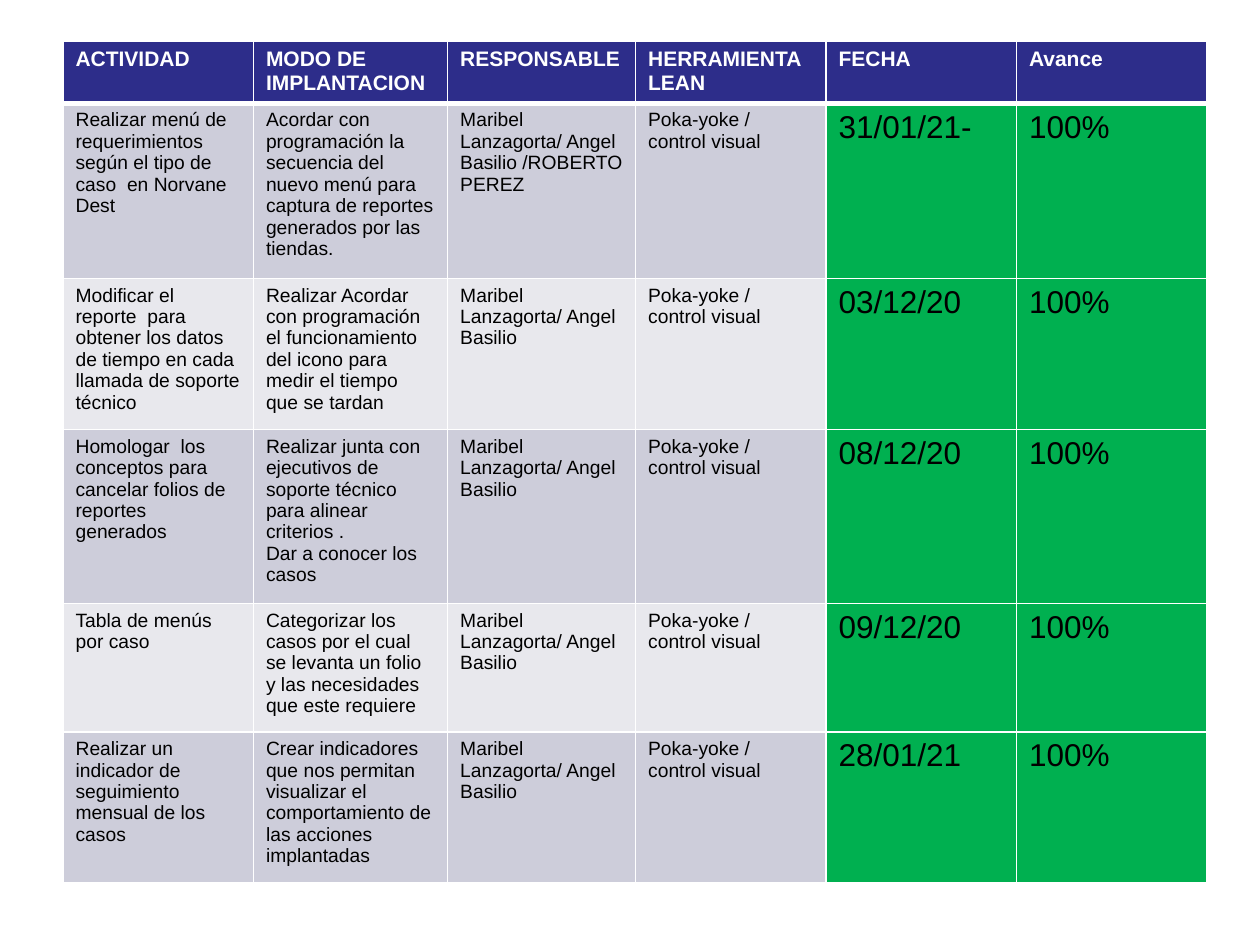
from dataclasses import dataclass

from lxml import etree
from pptx import Presentation
from pptx.dml.color import RGBColor
from pptx.oxml.ns import qn
from pptx.util import Inches, Pt


@dataclass(frozen=True)
class Theme:
    font: str = "Arial"
    header_fill: str = "2D2D8A"
    band_fills: tuple = ("CDCDDA", "E8E8ED")
    done_fill: str = "00B050"
    light: str = "FFFFFF"
    dark: str = "000000"
    header_size: int = 12
    body_size: int = 11
    status_size: int = 18
    rule: int = 1
    header_rule: int = 3


THEME = Theme()
BLANK_LAYOUT = 6
STATUS_COLUMN = 4
COLUMN_WIDTHS = (1.51, 1.54, 1.49, 1.51, 1.51, 1.51)
ROW_HEIGHTS = (0.49, 1.39, 1.2, 1.38, 1.02, 1.2)

HEADINGS = ("ACTIVIDAD", "MODO DE IMPLANTACION", "RESPONSABLE",
            "HERRAMIENTA LEAN", "FECHA", "Avance")
TEAM = "Maribel Lanzagorta/ Angel Basilio"
TOOL = "Poka-yoke / control visual"
COMPLETE = "100%"
ACTIVITIES = (
    ("Realizar menú de requerimientos según el tipo de caso  en Norvane Dest",
     "Acordar con programación la secuencia del nuevo menú para captura de "
     "reportes generados por las tiendas.",
     TEAM + " /ROBERTO PEREZ", "31/01/21-"),
    ("Modificar el reporte  para obtener los datos de tiempo en cada llamada "
     "de soporte técnico",
     "Realizar Acordar con programación el funcionamiento del icono para "
     "medir el tiempo que se tardan",
     TEAM, "03/12/20"),
    ("Homologar  los conceptos para cancelar folios de reportes generados",
     "Realizar junta con ejecutivos de soporte técnico para alinear "
     "criterios .\nDar a conocer los casos",
     TEAM, "08/12/20"),
    ("Tabla de menús por caso",
     "Categorizar los casos por el cual se levanta un folio y las necesidades "
     "que este requiere",
     TEAM, "09/12/20"),
    ("Realizar un indicador de seguimiento mensual de los casos",
     "Crear indicadores que nos permitan visualizar el comportamiento de las "
     "acciones implantadas",
     TEAM, "28/01/21"),
)


def set_borders(cell, top, bottom):
    properties = cell._tc.get_or_add_tcPr()
    widths = {"a:lnL": THEME.rule, "a:lnR": THEME.rule,
              "a:lnT": top, "a:lnB": bottom}
    for side, width in widths.items():
        line = etree.SubElement(properties, qn(side), w=str(Pt(width)))
        solid = etree.SubElement(line, qn("a:solidFill"))
        etree.SubElement(solid, qn("a:srgbClr"), val=THEME.light)


def cell_style(row, column):
    if row == 0:
        return THEME.header_fill, THEME.light, THEME.header_size
    if column >= STATUS_COLUMN:
        return THEME.done_fill, THEME.dark, THEME.status_size
    return THEME.band_fills[(row - 1) % 2], THEME.dark, THEME.body_size


def fill_cell(cell, text, row, column):
    background, ink, size = cell_style(row, column)
    set_borders(cell,
                top=THEME.header_rule if row == 1 else THEME.rule,
                bottom=THEME.header_rule if row == 0 else THEME.rule)
    cell.fill.solid()
    cell.fill.fore_color.rgb = RGBColor.from_string(background)
    cell.text_frame.text = text
    for paragraph in cell.text_frame.paragraphs:
        for run in paragraph.runs:
            run.font.name = THEME.font
            run.font.size = Pt(size)
            run.font.bold = row == 0
            run.font.color.rgb = RGBColor.from_string(ink)


def add_activity_plan(slide, left, top, width, height):
    rows = [HEADINGS]
    for activity, method, owner, date in ACTIVITIES:
        rows.append((activity, method, owner, TOOL, date, COMPLETE))
    plan = slide.shapes.add_table(len(rows), len(HEADINGS),
                                  left, top, width, height).table
    for column, share in zip(plan.columns, COLUMN_WIDTHS):
        column.width = int(width * share / sum(COLUMN_WIDTHS))
    for row, share in zip(plan.rows, ROW_HEIGHTS):
        row.height = int(height * share / sum(ROW_HEIGHTS))
    for row, texts in enumerate(rows):
        for column, text in enumerate(texts):
            fill_cell(plan.cell(row, column), text, row, column)


def main():
    presentation = Presentation()
    presentation.slide_width = Inches(10)
    presentation.slide_height = Inches(7.5)
    slide = presentation.slides.add_slide(
        presentation.slide_layouts[BLANK_LAYOUT])
    add_activity_plan(slide, Inches(0.5), Inches(0.33),
                      Inches(9.08), Inches(6.68))
    presentation.save("out.pptx")


if __name__ == "__main__":
    main()
